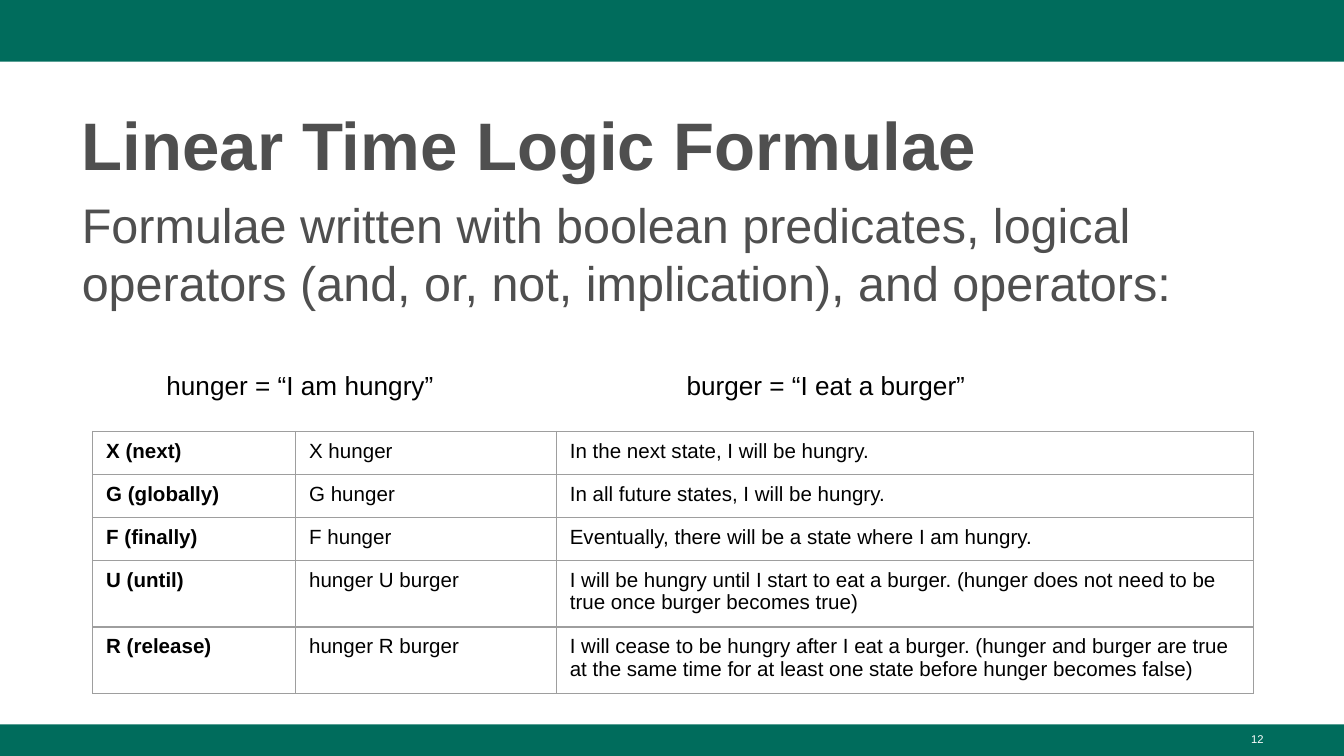
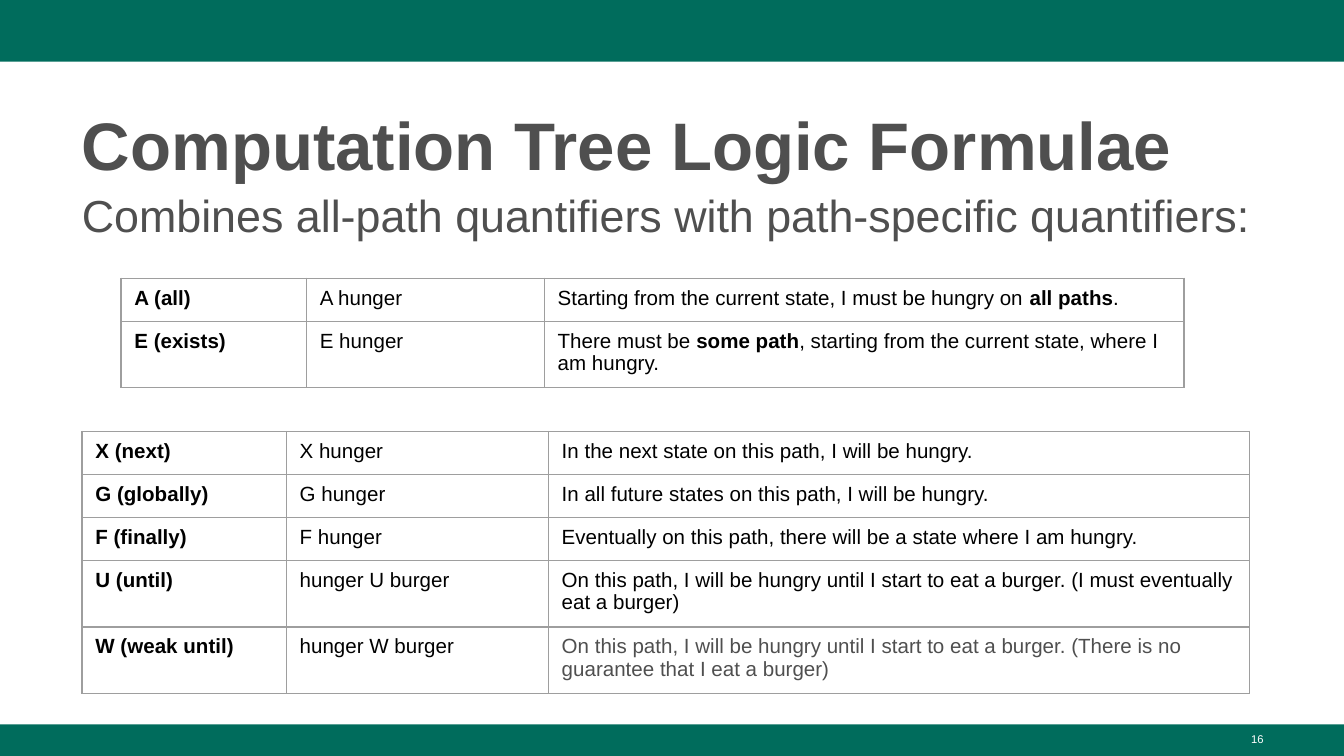
from lxml import etree
from pptx import Presentation
from pptx.dml.color import RGBColor
from pptx.enum.shapes import MSO_SHAPE
from pptx.enum.text import MSO_ANCHOR, MSO_AUTO_SIZE, PP_ALIGN
from pptx.oxml import parse_xml
from pptx.oxml.ns import nsdecls, qn
from pptx.util import Inches, Pt

GREEN, GREY, BLACK, WHITE, RULE = "006C5C", "4F4F4F", "000000", "FFFFFF", "9E9E9E"
FONT = "Arial"
TITLE_ONLY = 5

LTL_ROWS = [
    ("X (next)", "X hunger", "In the next state, I will be hungry."),
    ("G (globally)", "G hunger", "In all future states, I will be hungry."),
    ("F (finally)", "F hunger", "Eventually, there will be a state where I am hungry."),
    ("U (until)", "hunger U burger",
     "I will be hungry until I start to eat a burger. "
     "(hunger does not need to be true once burger becomes true)"),
    ("R (release)", "hunger R burger",
     "I will cease to be hungry after I eat a burger. (hunger and burger are true "
     "at the same time for at least one state before hunger becomes false)"),
]
PATH_ROWS = [
    ("X (next)", "X hunger", "In the next state on this path, I will be hungry."),
    ("G (globally)", "G hunger", "In all future states on this path, I will be hungry."),
    ("F (finally)", "F hunger",
     "Eventually on this path, there will be a state where I am hungry."),
    ("U (until)", "hunger U burger",
     "On this path, I will be hungry until I start to eat a burger. "
     "(I must eventually eat a burger)"),
    ("W (weak until)", "hunger W burger",
     "On this path, I will be hungry until I start to eat a burger. "
     "(There is no guarantee that I eat a burger)"),
]
QUANTIFIER_ROWS = [
    ("A (all)", "A hunger",
     "Starting from the current state, I must be hungry on **all paths**."),
    ("E (exists)", "E hunger",
     "There must be **some path**, starting from the current state, where I am hungry."),
]


def rgb(color):
    return RGBColor.from_string(color)


def style_font(font, size, color, bold=False):
    font.name, font.size, font.bold = FONT, Pt(size), bold
    font.color.rgb = rgb(color)


def add_master_bands(prs, slide):
    """Draw the two bands on the slide, then move them behind everything on the master."""
    tree = prs.slide_master.shapes.element
    for i, (top, height) in enumerate([(0, 0.46), (5.39, 0.23)]):
        sp = slide.shapes.add_shape(MSO_SHAPE.RECTANGLE, 0, Inches(top),
                                    prs.slide_width, Inches(height))
        sp.shadow.inherit = False
        sp.fill.solid()
        sp.fill.fore_color.rgb = rgb(GREEN)
        sp.line.fill.background()
        sp.element.nvSpPr.cNvPr.set("id", str(101 + i))
        tree.insert(2 + i, sp.element)
    sp.height = prs.slide_height - sp.top


def add_titled_slide(prs, title):
    slide = prs.slides.add_slide(prs.slide_layouts[TITLE_ONLY])
    sp = slide.shapes.title
    sp.left, sp.top, sp.width, sp.height = map(Inches, (0.51, 0.67, 8.99, 0.73))
    tf = sp.text_frame
    tf.text = title
    tf.auto_size = MSO_AUTO_SIZE.NONE
    tf.vertical_anchor = MSO_ANCHOR.BOTTOM
    tf.margin_bottom = Inches(0.03)
    p = tf.paragraphs[0]
    p.alignment, p.line_spacing = PP_ALIGN.LEFT, 1.08
    style_font(p.runs[0].font, 36, GREY, bold=True)
    return slide


def add_text(slide, box, text, size, color, margin=0.05, align=PP_ALIGN.LEFT):
    tf = slide.shapes.add_textbox(*map(Inches, box)).text_frame
    tf.word_wrap = True
    tf.margin_top = tf.margin_bottom = Inches(margin)
    p = tf.paragraphs[0]
    p.text = text
    p.alignment = align
    for r in p.runs:
        style_font(r.font, size, color)
    return p


def add_intro(slide, top, text, size):
    add_text(slide, (0.51, top, 8.99, 5.21 - top), text, size, GREY)


def add_page_number(slide, number):
    add_text(slide, (7.17, 5.4, 2.33, 0.23), str(number), 6, WHITE, align=PP_ALIGN.RIGHT)


def add_definitions(slide, *definitions):
    """Set the definitions side by side, the second at a tab stop."""
    p = add_text(slide, (1.14, 2.65, 7.74, 0.43), "\t".join(definitions), 14, BLACK, 0.1)
    tabs = etree.SubElement(p._p.get_or_add_pPr(), qn("a:tabLst"))
    etree.SubElement(tabs, qn("a:tab"), pos=str(Inches(3.87)), algn="l")


def set_borders(cell):
    tcPr = cell._tc.get_or_add_tcPr()
    for i, side in enumerate("LRTB"):
        tcPr.insert(i, parse_xml(
            f'<a:ln{side} {nsdecls("a")} w="{Pt(0.75)}"><a:solidFill>'
            f'<a:srgbClr val="{RULE}"/></a:solidFill></a:ln{side}>'))


def fill_cell(cell, text, bold, color=BLACK):
    """Write the text, with parts between ** marks in bold."""
    cell.fill.background()
    set_borders(cell)
    cell.margin_left = cell.margin_right = Inches(0.1)
    cell.margin_top = cell.margin_bottom = Inches(0.07)
    p = cell.text_frame.paragraphs[0]
    p.line_spacing = 0.97
    for i, part in enumerate(text.split("**")):
        r = p.add_run()
        r.text = part
        style_font(r.font, 11, color, bold or i % 2 == 1)


def add_operator_table(slide, left, top, widths, rows, last_color=BLACK):
    """Add operator, example and meaning columns; last_color is for the last meaning."""
    row_height = 0.32
    table = slide.shapes.add_table(
        len(rows), len(widths), Inches(left), Inches(top),
        Inches(sum(widths)), Inches(row_height * len(rows))).table
    table.first_row = table.horz_banding = False
    for column, width in zip(table.columns, widths):
        column.width = Inches(width)
    for i, row in enumerate(rows):
        table.rows[i].height = Inches(row_height)
        for j, text in enumerate(row):
            is_last = i == len(rows) - 1 and j == len(row) - 1
            fill_cell(table.cell(i, j), text, j == 0, last_color if is_last else BLACK)


def main():
    prs = Presentation()
    prs.slide_width = Inches(10)
    prs.slide_height = prs.slide_width * 9 // 16

    linear = add_titled_slide(prs, "Linear Time Logic Formulae")
    add_master_bands(prs, linear)
    add_intro(linear, 1.4, "Formulae written with boolean predicates, logical operators "
              "(and, or, not, implication), and operators:", 26)
    add_operator_table(linear, 0.69, 3.21, (1.51, 1.94, 5.19), LTL_ROWS)
    add_page_number(linear, 12)
    add_definitions(linear, "hunger = “I am hungry”", "burger = “I eat a burger”")

    tree = add_titled_slide(prs, "Computation Tree Logic Formulae")
    add_intro(tree, 1.35, "Combines all-path quantifiers with path-specific quantifiers:", 24)
    add_operator_table(tree, 0.61, 3.21, (1.52, 1.95, 5.22), PATH_ROWS, last_color=GREY)
    add_operator_table(tree, 0.9, 2.07, (1.38, 1.77, 4.76), QUANTIFIER_ROWS)
    add_page_number(tree, 16)

    prs.save("out.pptx")


if __name__ == "__main__":
    main()
